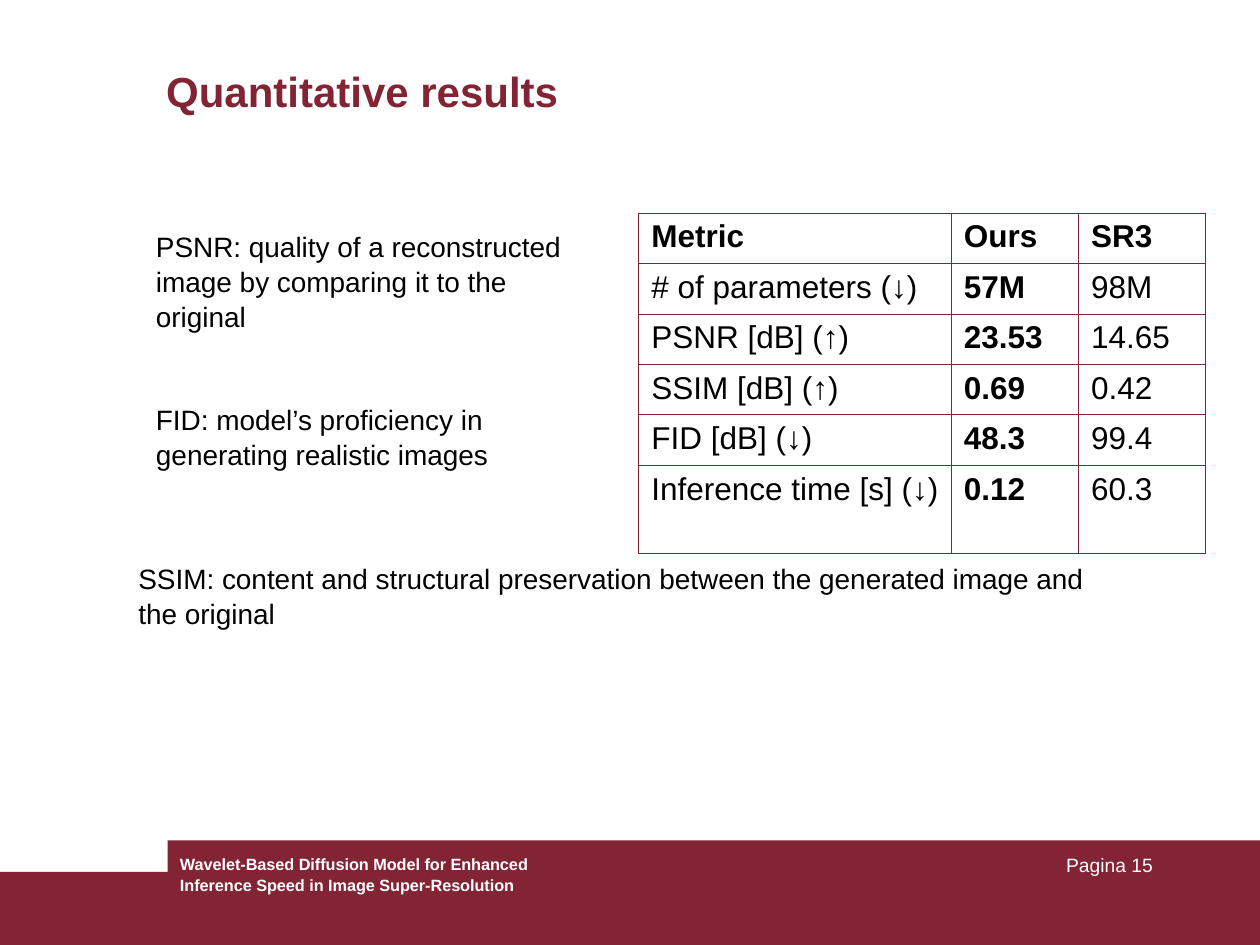
from lxml.etree import SubElement
from pptx import Presentation
from pptx.dml.color import RGBColor
from pptx.enum.shapes import MSO_SHAPE as SHAPE
from pptx.enum.text import MSO_ANCHOR as ANCHOR, PP_ALIGN as ALIGN
from pptx.oxml.ns import qn
from pptx.util import Inches, Pt

COLORS = {"maroon": "822433", "white": "FFFFFF", "black": "000000"}
FONT = "Arial"
METRICS = [
    ("Metric", "Ours", "SR3"),
    ("# of parameters (↓)", "57M", "98M"),
    ("PSNR [dB] (↑)", "23.53", "14.65"),
    ("SSIM [dB] (↑)", "0.69", "0.42"),
    ("FID [dB] (↓)", "48.3", "99.4"),
    ("Inference time [s] (↓)", "0.12", "60.3"),
]


def rgb(name):
    """Return the named palette colour."""
    return RGBColor.from_string(COLORS[name])


def style(p, size, color="black", bold=False):
    """Set the font of a paragraph."""
    f = p.font
    f.name, f.size, f.bold = FONT, Pt(size), bold
    f.color.rgb = rgb(color)


def add_text(s, box, paragraphs, size, color="black", bold=False, indent=0,
             gap=0, spacing=1.0, align=ALIGN.LEFT, anchor=ANCHOR.TOP):
    """Add a wrapped text box with one style for all its paragraphs."""
    tf = s.shapes.add_textbox(*map(Inches, box)).text_frame
    tf.word_wrap = True
    tf.vertical_anchor = anchor
    for i, text in enumerate(paragraphs):
        p = tf.add_paragraph() if i else tf.paragraphs[0]
        p.text = text
        p.alignment = align
        p.line_spacing = spacing
        if i:
            p.space_before = Pt(gap)
        if indent:
            p._p.get_or_add_pPr().set("marL", str(Inches(indent)))
        style(p, size, color, bold)


def add_bar(s, box):
    """Add a plain maroon bar."""
    sp = s.shapes.add_shape(SHAPE.RECTANGLE, *map(Inches, box))
    sp.shadow.inherit = False
    sp.fill.solid()
    sp.fill.fore_color.rgb = rgb("maroon")
    sp.line.fill.background()


def add_footer(s, left, top, width, height):
    """Add the stepped footer with the talk title and page number."""
    step_x, step_y = 1.33, 0.25
    add_bar(s, (left, top + step_y, width, height - step_y))
    add_bar(s, (left + step_x, top, width - step_x, height))
    add_text(s, (left + step_x, top + 0.05, 3.17, 0.5),
             ["Wavelet-Based Diffusion Model for Enhanced Inference Speed "
              "in Image Super-Resolution"],
             9.3, "white", bold=True, spacing=1.08)
    add_text(s, (left + 7.17, top + 0.05, 2.08, 0.5), ["Pagina 15"],
             11, "white", align=ALIGN.RIGHT)


def add_borders(cell, color, width):
    """Draw a solid line on all four sides of a cell."""
    tcPr = cell._tc.get_or_add_tcPr()
    for side in ("lnL", "lnR", "lnT", "lnB"):
        ln = SubElement(tcPr, qn(f"a:{side}"), w=str(Pt(width)))
        fill = SubElement(ln, qn("a:solidFill"))
        SubElement(fill, qn("a:srgbClr"), val=COLORS[color])


def add_metrics(s, left, top, width, height):
    """Add the table of metrics, with a taller last row."""
    value_w, row_h = 1.01, 0.4
    n_rows, n_cols = len(METRICS), len(METRICS[0])
    table = s.shapes.add_table(
        n_rows, n_cols, *map(Inches, (left, top, width, height))).table
    table.horz_banding = False
    for c, col in enumerate(table.columns):
        col.width = Inches(value_w if c else width - value_w * (n_cols - 1))
    for r, row in enumerate(table.rows):
        last = r == n_rows - 1
        row.height = Inches(height - row_h * r if last else row_h)
        for c, cell in enumerate(row.cells):
            cell.text = METRICS[r][c]
            style(cell.text_frame.paragraphs[0], 18, bold=r == 0 or c == 1)
            add_borders(cell, "maroon", 0.45)
            cell.fill.solid()
            cell.fill.fore_color.rgb = rgb("white")


def add_definitions(s, left, top, width, height):
    """Add the explanations of the three metrics."""
    add_text(s, (left, top, 4.04, 1.98),
             ["PSNR: quality of a reconstructed image by comparing it to the original",
              "FID: model’s proficiency in generating realistic images"],
             16, indent=0.38, gap=39, spacing=1.04)
    add_text(s, (left, top + height - 1.04, width, 1.04),
             ["SSIM: content and structural preservation between the generated "
              "image and the original"],
             16, indent=0.24, spacing=1.04, anchor=ANCHOR.BOTTOM)


def main():
    """Build the slide and save it."""
    prs = Presentation()
    prs.slide_width, prs.slide_height = Inches(10), Inches(7.5)
    s = prs.slides.add_slide(prs.slide_layouts[6])
    add_footer(s, 0, 6.67, 10, 0.83)
    add_text(s, (1.22, 0.44, 8.11, 0.56), ["Quantitative results"],
             24, "maroon", bold=True, anchor=ANCHOR.MIDDLE)
    add_metrics(s, 5.07, 1.69, 4.5, 2.7)
    add_definitions(s, 0.76, 1.76, 8.1, 3.29)
    prs.save("out.pptx")


if __name__ == "__main__":
    main()
